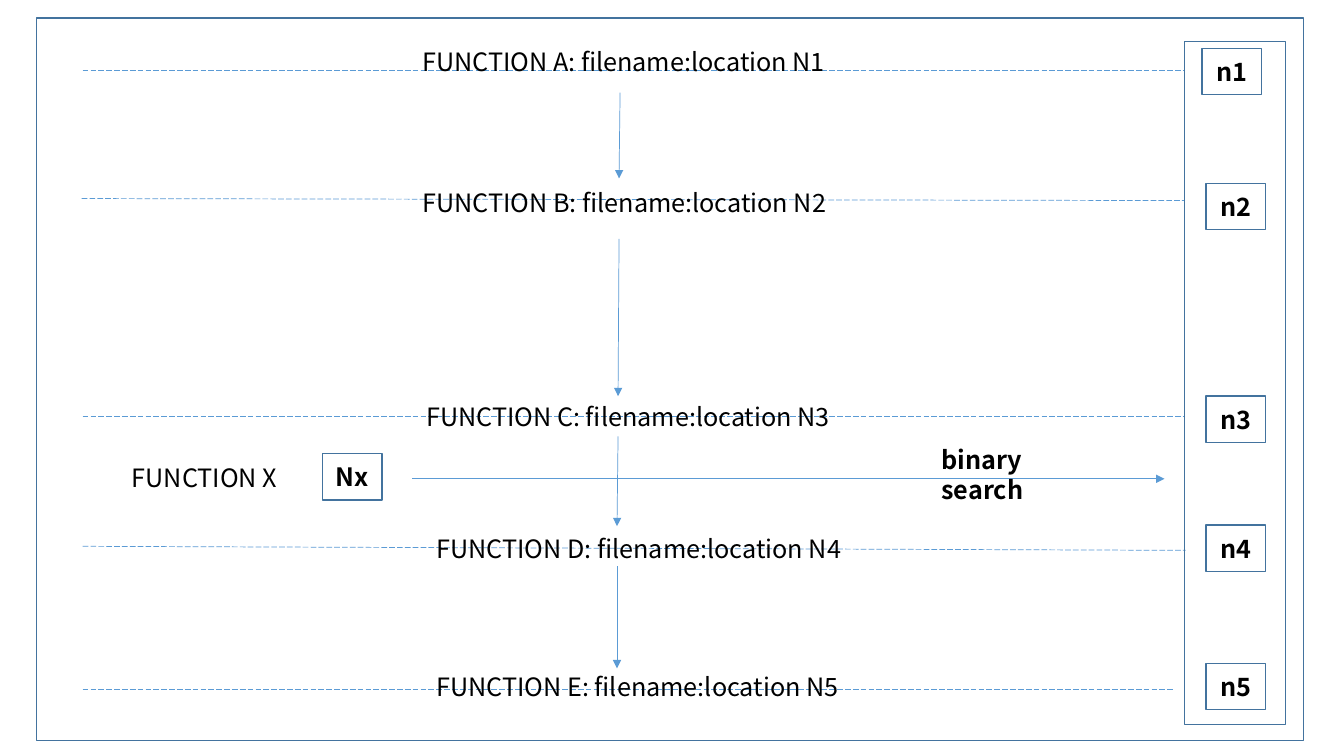
from lxml.etree import SubElement
from pptx import Presentation
from pptx.dml.color import RGBColor
from pptx.enum.dml import MSO_LINE
from pptx.enum.shapes import MSO_CONNECTOR, MSO_SHAPE
from pptx.enum.text import MSO_ANCHOR, MSO_AUTO_SIZE, PP_ALIGN
from pptx.oxml.ns import qn
from pptx.util import Inches, Pt

FONT = "Noto Sans CJK JP"
BORDER = "43739E"
FLOW = "5B9BD5"

prs = Presentation()
prs.slide_width, prs.slide_height = Inches(13.33), Inches(7.5)
slide = prs.slides.add_slide(prs.slide_layouts[6])


def add_text(text, left, top, width, height=0.4, bold=False, boxed=False,
             wrap=False, right_inset=0.1):
    """Add a label, or an outlined rectangle with centred text if boxed."""
    area = [Inches(v) for v in (left, top, width, height)]
    if boxed:
        holder = slide.shapes.add_shape(MSO_SHAPE.RECTANGLE, *area)
        holder.shadow.inherit = False
        holder.fill.background()
        holder.line.color.rgb = RGBColor.from_string(BORDER)
        holder.line.width = Pt(1)
    else:
        holder = slide.shapes.add_textbox(*area)
    if not text:
        return
    frame = holder.text_frame
    frame.word_wrap = wrap or boxed
    frame.margin_right = Inches(right_inset)
    frame.vertical_anchor = MSO_ANCHOR.MIDDLE if boxed else MSO_ANCHOR.TOP
    if not boxed:
        frame.auto_size = MSO_AUTO_SIZE.SHAPE_TO_FIT_TEXT
    paragraph = frame.paragraphs[0]
    paragraph.alignment = PP_ALIGN.CENTER if boxed else PP_ALIGN.LEFT
    run = paragraph.add_run()
    run.text = text
    run.font.name = FONT
    run.font.size = Pt(18)
    run.font.bold = bold
    run.font.color.rgb = RGBColor.from_string("000000")
    properties = run.font._element
    SubElement(properties, qn("a:ea")).set("typeface", FONT)


def add_line(x1, y1, x2, y2, arrow=False):
    """Add an arrow, or a dashed guide line."""
    connector = slide.shapes.add_connector(
        MSO_CONNECTOR.STRAIGHT, Inches(x1), Inches(y1), Inches(x2), Inches(y2))
    connector.line.color.rgb = RGBColor.from_string(FLOW)
    connector.line.width = Pt(0.5)
    if arrow:
        SubElement(connector.line._get_or_add_ln(), qn("a:tailEnd")).set("type", "triangle")
    else:
        connector.line.dash_style = MSO_LINE.LONG_DASH
    SubElement(connector._element.spPr, qn("a:effectLst"))


# Outer frame
add_text("", 0.36, 0.18, 12.57, 7.17, boxed=True)

# Call chain from function to function
for x1, y1, x2, y2 in [(6.15, 0.92, 6.14, 1.77), (6.14, 2.37, 6.13, 3.93),
                       (6.13, 4.33, 6.12, 5.22), (6.12, 5.62, 6.12, 6.63)]:
    add_line(x1, y1, x2, y2, arrow=True)

# Functions: letter, label left and top, guide line, index box left and top
functions = [
    ("A", 4.09, 0.41, (0.82, 0.7, 11.75, 0.7), 11.92, 0.48),
    ("B", 4.09, 1.81, (0.81, 1.97, 11.75, 1.99), 11.96, 1.82),
    ("C", 4.13, 3.93, (0.82, 4.13, 11.75, 4.13), 11.96, 3.93),
    ("D", 4.23, 5.24, (0.82, 5.42, 11.76, 5.46), 11.96, 5.21),
    ("E", 4.23, 6.61, (0.82, 6.84, 11.65, 6.84), 11.96, 6.58),
]
for number, (letter, left, top, guide, index_left, index_top) in enumerate(functions, 1):
    add_line(*guide)
    add_text(f"FUNCTION {letter}: filename:location N{number}", left, top, 4.29)
    add_text(f"n{number}", index_left, index_top, 0.59, 0.46, bold=True, boxed=True)

# Column holding the sorted locations
add_text("", 11.75, 0.41, 1, 6.78, boxed=True)

# Lookup of function X
add_text("FUNCTION X", 1.21, 4.54, 1.74)
add_text("Nx", 3.2, 4.5, 0.59, 0.46, bold=True, boxed=True)
add_line(4.09, 4.75, 11.55, 4.75, arrow=True)
add_text("binary search", 9.24, 4.36, 1.86, bold=True, wrap=True, right_inset=0.4)

prs.save("out.pptx")
